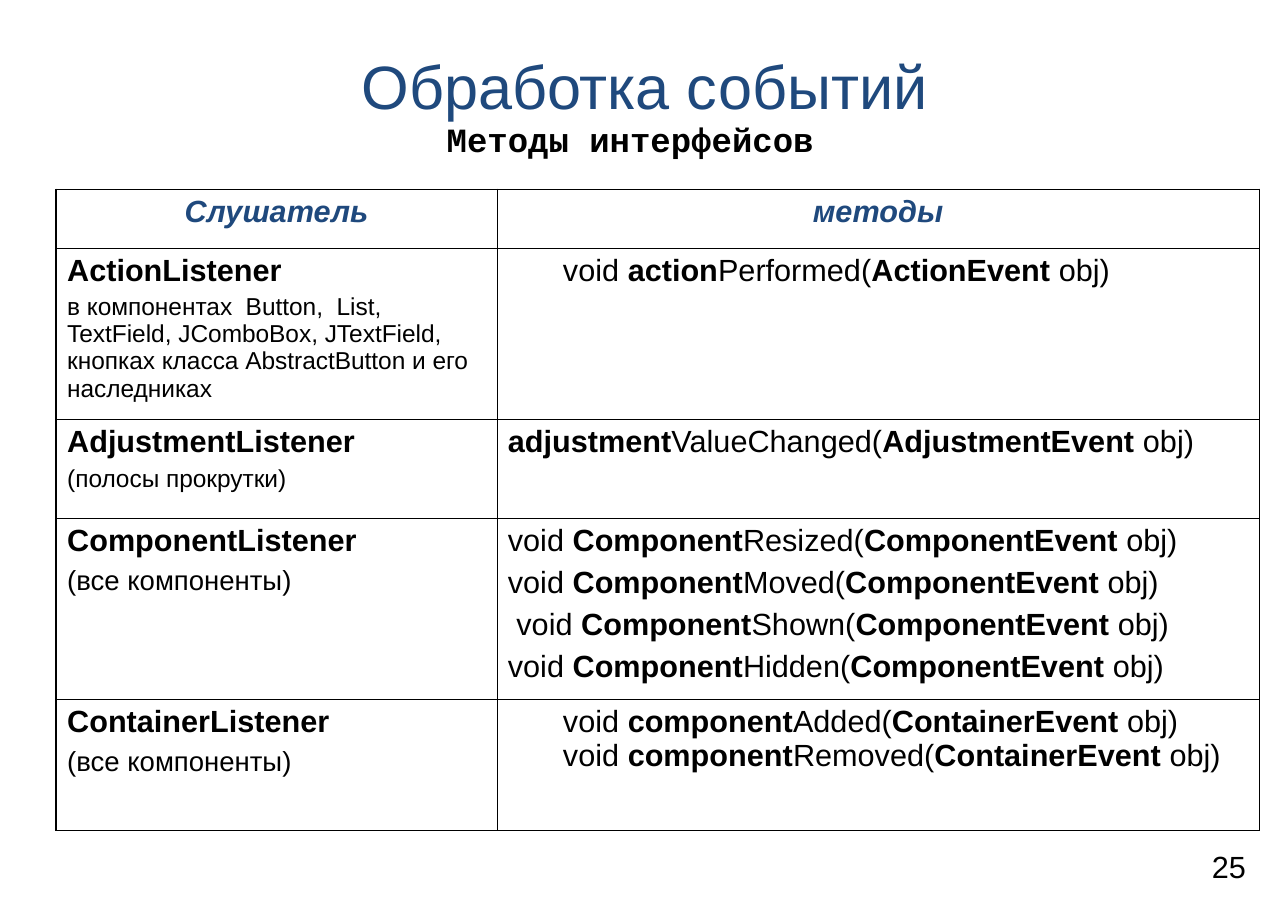
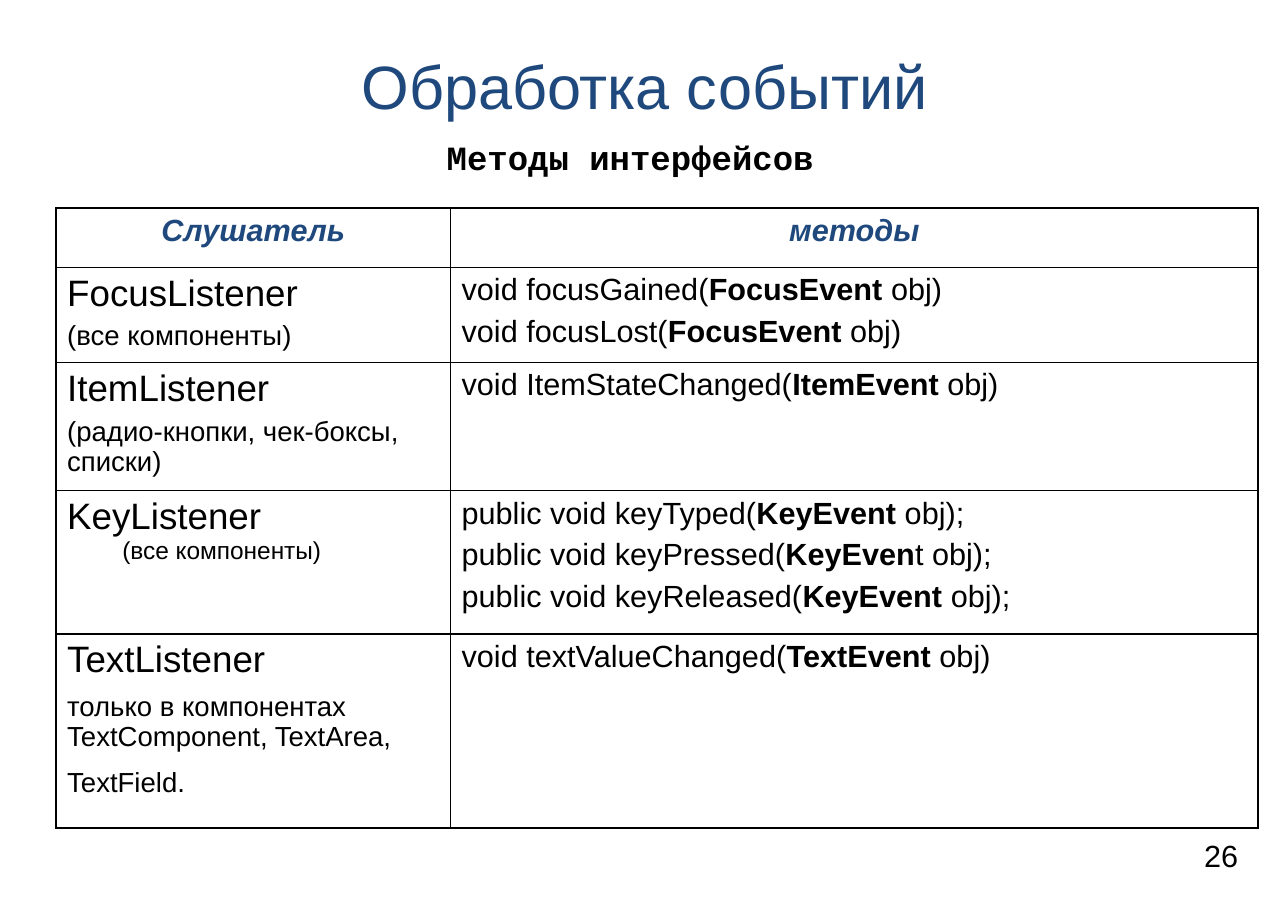
"""Build two slides of tables listing Java event listeners and their methods."""
from dataclasses import dataclass

import pptx
import pptx.dml.color
import pptx.enum.text
import pptx.oxml
import pptx.oxml.ns
import pptx.util
from pptx.util import Inches

ALIGN = pptx.enum.text.PP_ALIGN
ANCHOR = pptx.enum.text.MSO_ANCHOR


@dataclass(frozen=True)
class Theme:
    """Colours, fonts, type sizes and line widths shared by the slides."""
    accent: str = "1F497D"
    ink: str = "000000"
    sans: str = "Arial"
    mono: str = "Courier New"
    title: float = 40
    subtitle: float = 22.2
    name: float = 24
    body: float = 20
    note: float = 18
    small_note: float = 16
    outer_line: float = 1.08
    inner_line: float = 0.45
    spacing_ratio: float = 0.25


THEME = Theme()


@dataclass(frozen=True)
class Line:
    """One paragraph, with bold parts between asterisks."""
    text: str
    size: float = THEME.body
    color: str = THEME.ink
    font: str = THEME.sans
    italic: bool = False
    align: ALIGN = ALIGN.LEFT
    indent: float = 0
    before: float | None = None
    spacing: float = 1.0


def write_lines(frame, lines):
    """Fill a text frame with lines, spacing them in proportion to their size."""
    for index, line in enumerate(lines):
        paragraph = frame.paragraphs[0] if index == 0 else frame.add_paragraph()
        paragraph.alignment = line.align
        paragraph.line_spacing = line.spacing
        if line.indent:
            paragraph._p.get_or_add_pPr().set("marL", str(Inches(line.indent)))
        elif index:
            before = line.size * THEME.spacing_ratio if line.before is None else line.before
            paragraph.space_before = pptx.util.Pt(before)
        for position, part in enumerate(line.text.split("*")):
            if part:
                run = paragraph.add_run()
                run.text = part
                run.font.size = pptx.util.Pt(line.size)
                run.font.name = line.font
                run.font.bold = position % 2 == 1
                run.font.italic = line.italic
                run.font.color.rgb = pptx.dml.color.RGBColor.from_string(line.color)


def add_label(slide, box, line, margins=(0.11, 0.06), anchor=ANCHOR.TOP, wrap=True):
    """Add a text box holding one line."""
    frame = slide.shapes.add_textbox(*map(Inches, box)).text_frame
    frame.word_wrap = wrap
    frame.vertical_anchor = anchor
    frame.margin_left = frame.margin_right = Inches(margins[0])
    frame.margin_top = frame.margin_bottom = Inches(margins[1])
    write_lines(frame, [line])


def set_borders(cell, widths):
    """Draw the left, right, top and bottom borders of a cell."""
    properties = cell._tc.get_or_add_tcPr()
    for side, width in zip("LRTB", widths):
        properties.append(pptx.oxml.parse_xml(
            f'<a:ln{side} {pptx.oxml.ns.nsdecls("a")} w="{pptx.util.Pt(width)}">'
            f'<a:solidFill><a:srgbClr val="{THEME.ink}"/></a:solidFill></a:ln{side}>'))


def add_listener_table(slide, top, column_widths, row_heights, entries):
    """Add the table of listeners, with a heavy frame and a heavy rule over the last row."""
    header = [[Line(f"*{heading}*", color=THEME.accent, italic=True, align=ALIGN.CENTER)]
              for heading in ("Слушатель", "методы")]
    rows = [header, *entries]
    table = slide.shapes.add_table(
        len(rows), len(column_widths), Inches(0.51), Inches(top),
        Inches(sum(column_widths)), Inches(sum(row_heights))).table
    table.first_row = table.horz_banding = False
    for column, width in zip(table.columns, column_widths):
        column.width = Inches(width)
    for row, height in zip(table.rows, row_heights):
        row.height = Inches(height)
    heavy, light = THEME.outer_line, THEME.inner_line
    last = len(rows) - 1
    for row_index, row in enumerate(rows):
        above = heavy if row_index in (0, last) else light
        below = heavy if row_index >= last - 1 else light
        for column_index, lines in enumerate(row):
            cell = table.cell(row_index, column_index)
            sides = (heavy, light) if column_index == 0 else (light, heavy)
            set_borders(cell, (*sides, above, below))
            cell.fill.background()
            cell.margin_left = cell.margin_right = Inches(0.1)
            cell.margin_top = cell.margin_bottom = Inches(0.05)
            write_lines(cell.text_frame, lines)


def add_events_slide(deck, number, number_at, subtitle_top, **table):
    """Add a slide with title, subtitle, listener table and page number."""
    slide = deck.slides.add_slide(deck.slide_layouts[6])
    add_label(slide, (*number_at, 0.36, 0.34), Line(str(number)), margins=(0, 0), wrap=False)
    add_label(slide, (0.59, 0.33, 10.52, 0.89),
              Line("Обработка событий", THEME.title, THEME.accent, align=ALIGN.CENTER),
              anchor=ANCHOR.MIDDLE)
    add_label(slide, (1.26, subtitle_top, 8.92, 0.5),
              Line("*Методы интерфейсов*", THEME.subtitle, font=THEME.mono,
                   align=ALIGN.CENTER, spacing=0.9))
    add_listener_table(slide, **table)


def methods(*signatures, indent=0):
    """Turn method signatures into lines."""
    return [Line(signature, indent=indent) for signature in signatures]


def bold_listener(name, note, size=THEME.note):
    """Give the lines of a bold listener name and its note."""
    return [Line(f"*{name}*"), Line(note, size)]


def plain_listener(name, *notes):
    """Give the lines of a large listener name and its notes."""
    return [Line(name, THEME.name), *notes]


def main():
    """Build and save the deck."""
    deck = pptx.Presentation()
    deck.slide_width, deck.slide_height = Inches(11.69), Inches(8.28)
    everywhere = "(все компоненты)"

    add_events_slide(
        deck, 25, number_at=(11, 7.7), subtitle_top=1.06, top=1.72,
        column_widths=(4, 6.92), row_heights=(0.53, 1.56, 0.9, 1.64, 1.19),
        entries=[
            (bold_listener("ActionListener",
                           "в компонентах  Button,  List, TextField, JComboBox, JTextField, "
                           "кнопках класса AbstractButton и его наследниках",
                           THEME.small_note),
             methods("void *action*Performed(*ActionEvent* obj)", indent=0.5)),
            (bold_listener("AdjustmentListener", "(полосы прокрутки)", THEME.small_note),
             methods("*adjustment*ValueChanged(*AdjustmentEvent* obj)")),
            (bold_listener("ComponentListener", everywhere),
             methods("void *Component*Resized(*ComponentEvent* obj)",
                     "void *Component*Moved(*ComponentEvent* obj)",
                     " void *Component*Shown(*ComponentEvent* obj)",
                     "void *Component*Hidden(*ComponentEvent *obj)")),
            (bold_listener("ContainerListener", everywhere),
             methods("void *component*Added(*ContainerEvent *obj)",
                     "void *component*Removed(*ContainerEvent* obj)", indent=0.5)),
        ])

    add_events_slide(
        deck, 26, number_at=(10.93, 7.6), subtitle_top=1.22, top=1.89,
        column_widths=(3.58, 7.33), row_heights=(0.54, 0.86, 1.16, 1.3, 1.76),
        entries=[
            (plain_listener("FocusListener", Line(everywhere, THEME.note)),
             methods("void focusGained(*FocusEvent* obj)",
                     "void focusLost(*FocusEvent* obj)")),
            (plain_listener("ItemListener",
                            Line("(радио-кнопки, чек-боксы, списки)", THEME.note)),
             methods("void ItemStateChanged(*ItemEvent* obj)")),
            (plain_listener("KeyListener", Line(everywhere, THEME.small_note, indent=0.5)),
             methods("public void keyTyped(*KeyEvent* obj);",
                     "public void keyPressed(*KeyEven*t obj);",
                     "public void keyReleased(*KeyEvent* obj);")),
            (plain_listener("TextListener",
                            Line("только в компонентах TextComponent, TextArea,",
                                 THEME.note, before=7),
                            Line("TextField.", THEME.note, before=9.5)),
             methods("void textValueChanged(*TextEvent* obj)")),
        ])

    deck.save("out.pptx")


if __name__ == "__main__":
    main()
